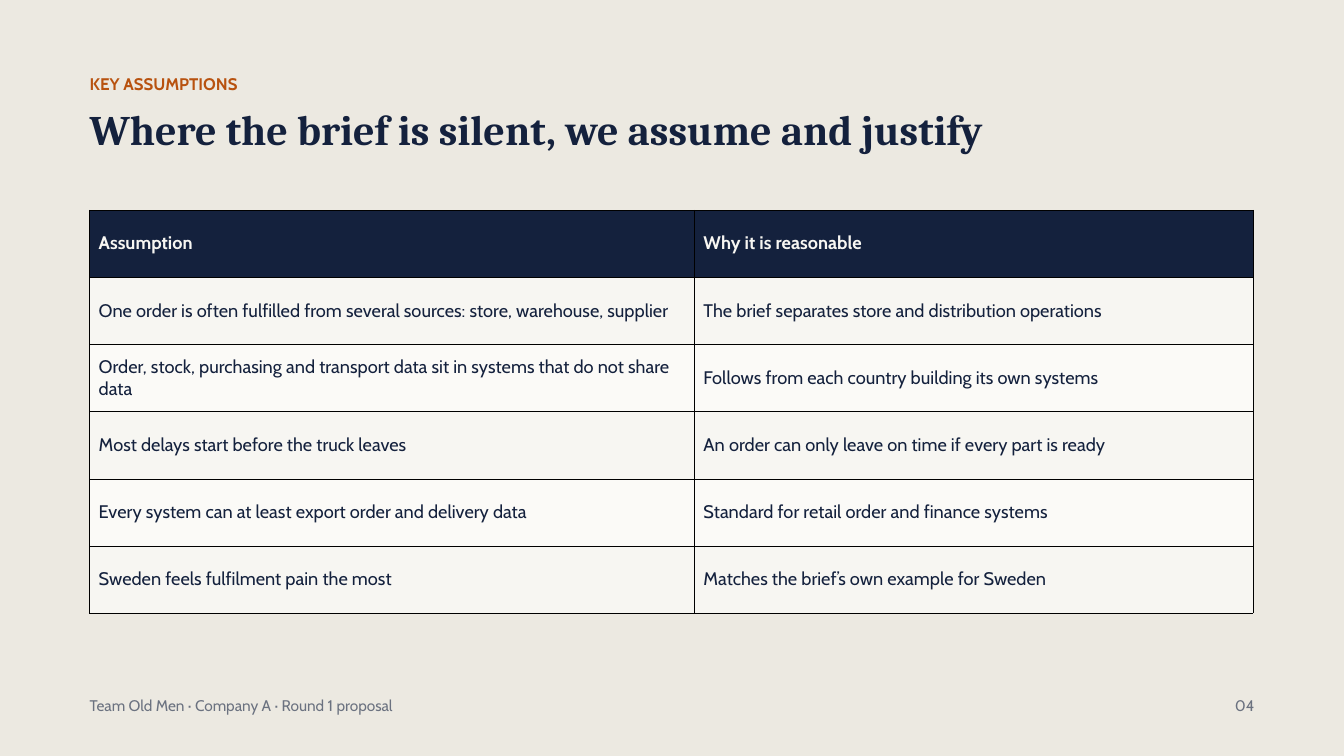
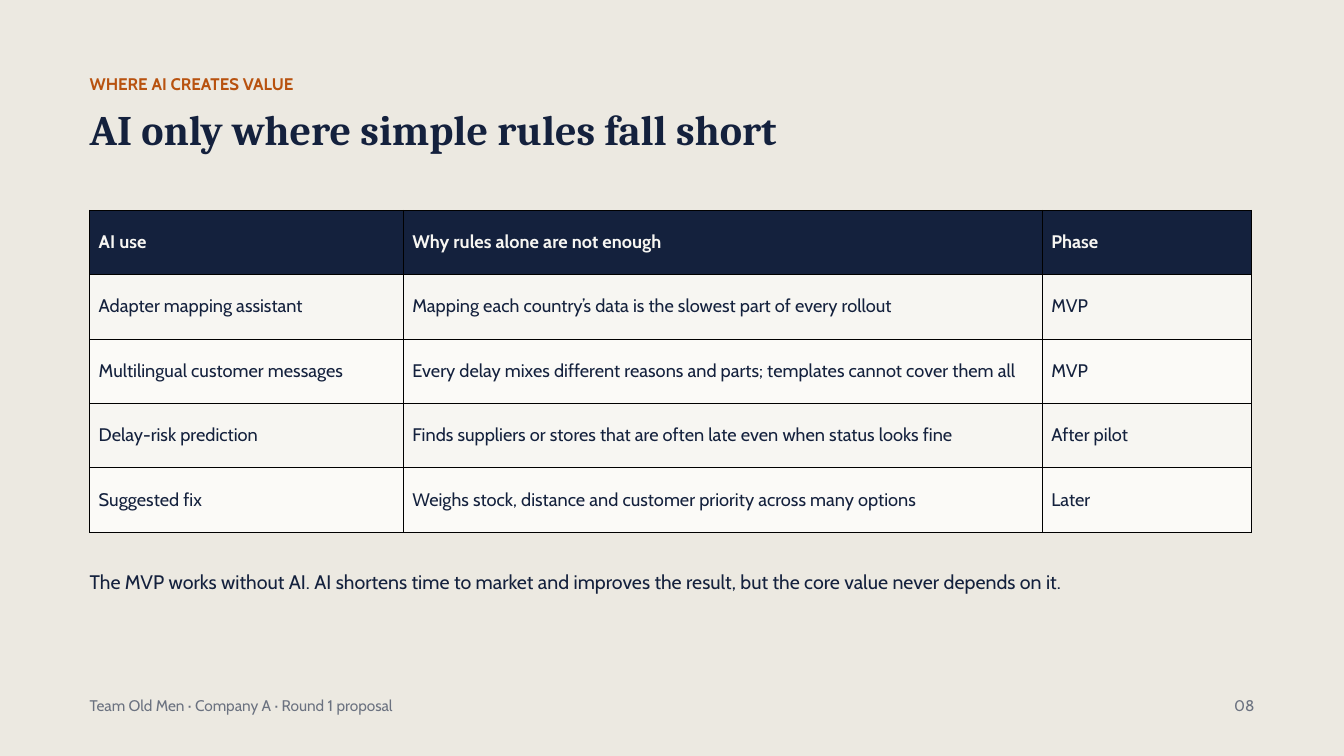
from lxml import etree
from pptx import Presentation
from pptx.dml.color import RGBColor
from pptx.enum.text import MSO_ANCHOR, MSO_AUTO_SIZE, PP_ALIGN
from pptx.oxml.ns import qn
from pptx.util import Pt

LEFT, RIGHT = PP_ALIGN.LEFT, PP_ALIGN.RIGHT
MIDDLE = MSO_ANCHOR.MIDDLE
GROW = MSO_AUTO_SIZE.SHAPE_TO_FIT_TEXT

EMU_PER_PX = 9525
SLIDE_WIDTH, SLIDE_HEIGHT = 1920, 1080
MARGIN = 128
CONTENT_WIDTH = SLIDE_WIDTH - 2 * MARGIN
TABLE_TOP = 300
CELL_PADDING = 13
FOOTER_TOP, FOOTER_HEIGHT = 986, 38
NUMBER_WIDTH = 100
BORDER_EMU = 4700

BODY_FONT, TITLE_FONT = "Cabin", "Cambria"
COLORS = {
    "paper": "ECE9E1",
    "navy": "14213D",
    "orange": "B8520F",
    "gray": "6B7280",
    "odd_row": "F7F6F2",
    "even_row": "FBFAF7",
    "border": "000000",
}
FOOTER = "Team Old Men · Company A · Round 1 proposal"

ASSUMPTIONS = [
    ("Assumption", "Why it is reasonable"),
    ("One order is often fulfilled from several sources: store, warehouse, supplier",
     "The brief separates store and distribution operations"),
    ("Order, stock, purchasing and transport data sit in systems that do not share data",
     "Follows from each country building its own systems"),
    ("Most delays start before the truck leaves",
     "An order can only leave on time if every part is ready"),
    ("Every system can at least export order and delivery data",
     "Standard for retail order and finance systems"),
    ("Sweden feels fulfilment pain the most",
     "Matches the brief’s own example for Sweden"),
]
AI_USES = [
    ("AI use", "Why rules alone are not enough", "Phase"),
    ("Adapter mapping assistant",
     "Mapping each country’s data is the slowest part of every rollout", "MVP"),
    ("Multilingual customer messages",
     "Every delay mixes different reasons and parts; templates cannot cover them all", "MVP"),
    ("Delay-risk prediction",
     "Finds suppliers or stores that are often late even when status looks fine", "After pilot"),
    ("Suggested fix",
     "Weighs stock, distance and customer priority across many options", "Later"),
]


def px(length):
    return length * EMU_PER_PX


def rgb(name):
    return RGBColor.from_string(COLORS[name])


def write(frame, text, size, leading, color="navy", font=BODY_FONT, bold=False,
          align=LEFT, padding=0):
    """Put one formatted paragraph into the text frame of a box or cell."""
    paragraph = frame.paragraphs[0]
    paragraph.alignment = align
    paragraph.line_spacing = Pt(leading)
    run = paragraph.add_run()
    run.text = text
    run.font.size = Pt(size)
    run.font.name = font
    run.font.bold = bold
    run.font.color.rgb = rgb(color)
    frame.word_wrap = True
    frame.margin_left = frame.margin_right = px(padding)
    frame.margin_top = frame.margin_bottom = px(padding)


def add_text(slide, text, left, top, width, height, **style):
    box = slide.shapes.add_textbox(px(left), px(top), px(width), px(height))
    write(box.text_frame, text, **style)
    box.text_frame.auto_size = GROW


def add_cell_borders(cell):
    properties = cell._tc.get_or_add_tcPr()
    for index, side in enumerate(("a:lnL", "a:lnR", "a:lnT", "a:lnB")):
        line = etree.Element(qn(side), w=str(BORDER_EMU))
        fill = etree.SubElement(line, qn("a:solidFill"))
        etree.SubElement(fill, qn("a:srgbClr"), val=COLORS["border"])
        properties.insert(index, line)


def fill_cell(cell, text, row):
    header = row == 0
    fill = "navy" if header else "odd_row" if row % 2 else "even_row"
    cell.fill.solid()
    cell.fill.fore_color.rgb = rgb(fill)
    cell.vertical_anchor = MIDDLE
    cell.margin_left = cell.margin_right = px(CELL_PADDING)
    cell.margin_top = cell.margin_bottom = px(CELL_PADDING)
    write(cell.text_frame, text, size=19.5, leading=23.4, bold=header,
          color="odd_row" if header else "navy", padding=CELL_PADDING)
    add_cell_borders(cell)


def add_grid(slide, rows, column_widths, row_height):
    table = slide.shapes.add_table(
        len(rows), len(column_widths), px(MARGIN), px(TABLE_TOP),
        px(sum(column_widths)), px(row_height * len(rows))).table
    table.horz_banding = False
    for column, width in zip(table.columns, column_widths):
        column.width = px(width)
    for r, texts in enumerate(rows):
        table.rows[r].height = px(row_height)
        for c, text in enumerate(texts):
            fill_cell(table.cell(r, c), text, r)


def add_page(deck, kicker, title, number):
    """Add a slide with the shared background, heading and footer."""
    slide = deck.slides.add_slide(deck.slide_layouts[6])
    slide.background.fill.solid()
    slide.background.fill.fore_color.rgb = rgb("paper")
    add_text(slide, kicker, MARGIN, 97, CONTENT_WIDTH, 43,
             size=18, leading=28.1, color="orange", bold=True)
    add_text(slide, title, MARGIN, 144, CONTENT_WIDTH, 94,
             size=45, leading=56.7, font=TITLE_FONT, bold=True)
    footer_style = dict(size=16.5, leading=25.7, color="gray")
    add_text(slide, FOOTER, MARGIN, FOOTER_TOP, 1500, FOOTER_HEIGHT, **footer_style)
    add_text(slide, f"{number:02}", SLIDE_WIDTH - MARGIN - NUMBER_WIDTH, FOOTER_TOP,
             NUMBER_WIDTH, FOOTER_HEIGHT, align=RIGHT, **footer_style)
    return slide


def main():
    deck = Presentation()
    deck.slide_width, deck.slide_height = px(SLIDE_WIDTH), px(SLIDE_HEIGHT)

    assumptions = add_page(deck, "KEY ASSUMPTIONS",
                           "Where the brief is silent, we assume and justify", 4)
    add_grid(assumptions, ASSUMPTIONS, (864, 798), 96)

    ai_value = add_page(deck, "WHERE AI CREATES VALUE",
                        "AI only where simple rules fall short", 8)
    add_grid(ai_value, AI_USES, (448, 913, 299), 92)
    add_text(ai_value,
             "The MVP works without AI. AI shortens time to market and improves the result, "
             "but the core value never depends on it.",
             MARGIN, 801, CONTENT_WIDTH, 111, size=21, leading=35.3)

    deck.save("out.pptx")


if __name__ == "__main__":
    main()
